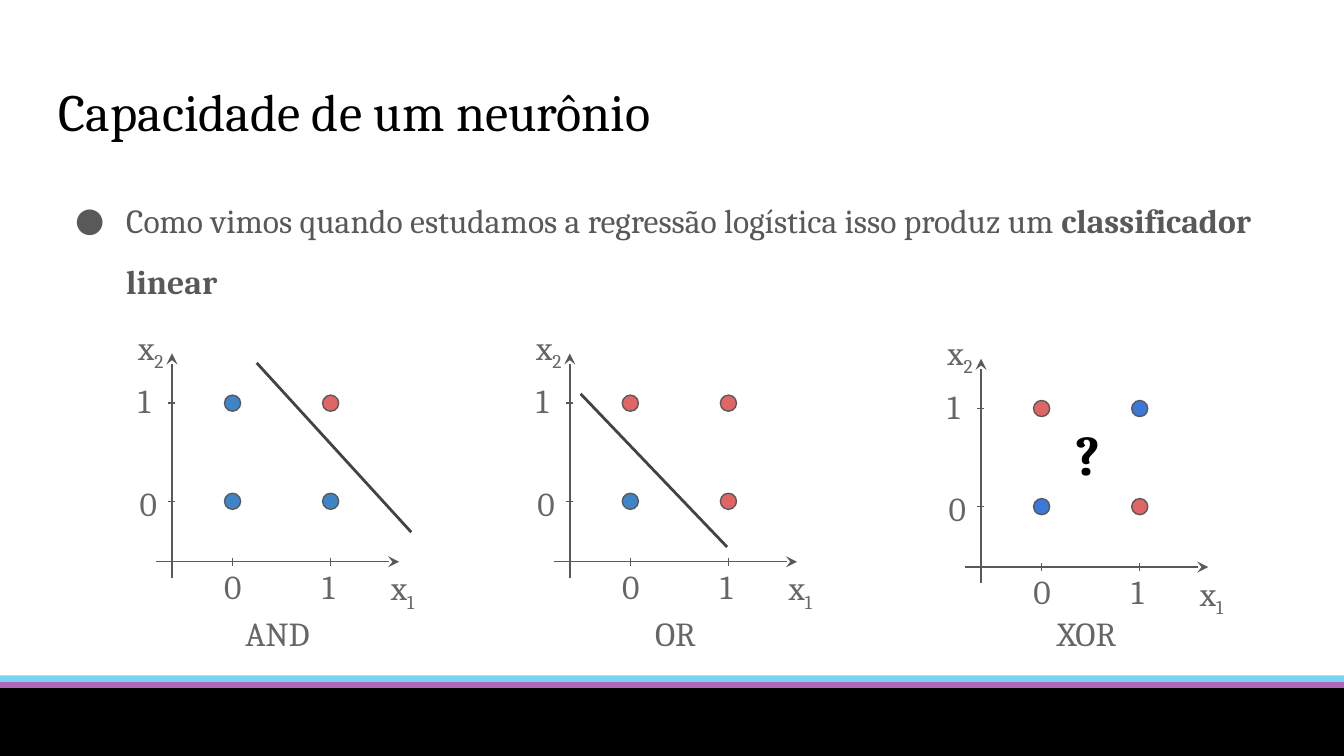
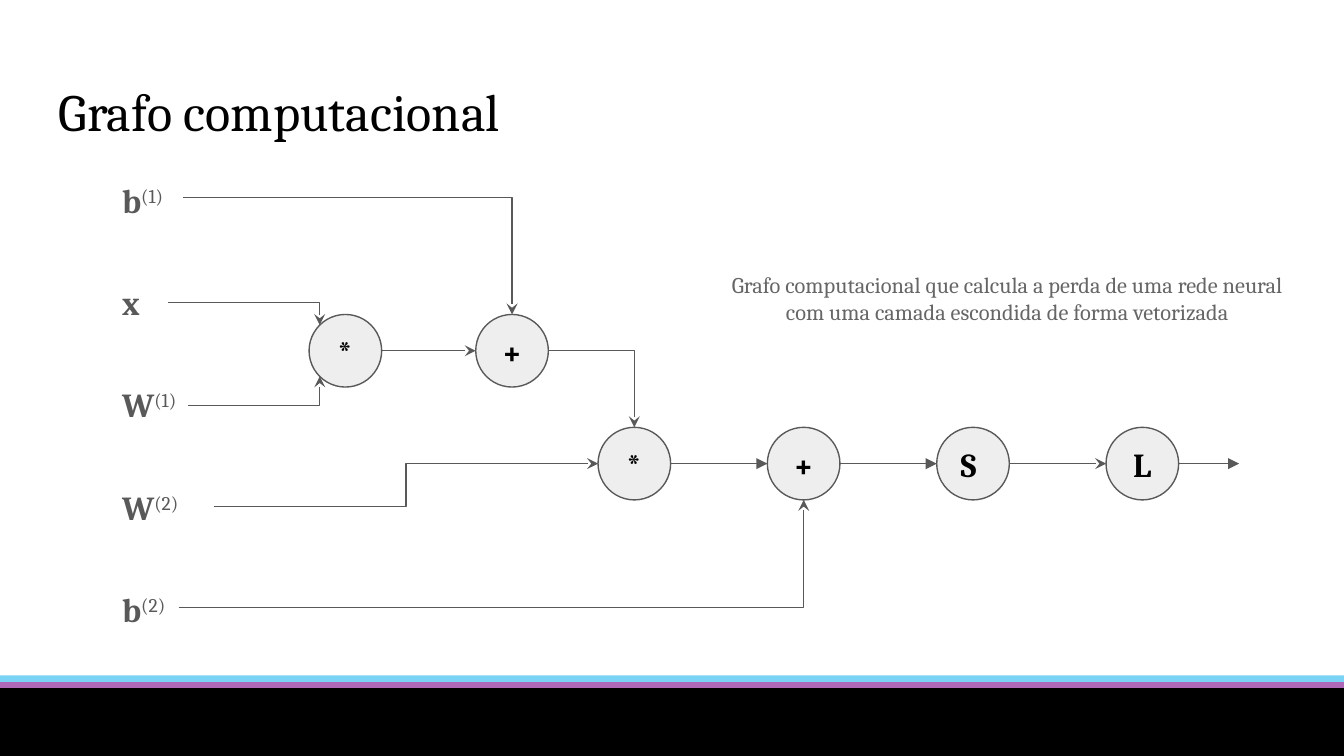
from lxml.etree import SubElement
from pptx import Presentation
from pptx.dml.color import RGBColor
from pptx.enum.shapes import MSO_CONNECTOR as CONN, MSO_SHAPE as SHAPE
from pptx.enum.text import MSO_ANCHOR as ANCHOR, PP_ALIGN as ALIGN
from pptx.oxml.ns import qn
from pptx.util import Cm, Pt

FONT = "Cambria"
BLACK, DARK, GRAY, LINE = "000000", "595959", "666666", "434343"
NODE_FILL = "EEEEEE"
BLUE, ROYAL, RED = "3D85C6", "3C78D8", "E06666"
CYAN, MAGENTA = "00A9EC", "E3007B"
WIDTH = 10
HEIGHT = WIDTH * 9 / 16
TICKS = {"0": 0.45, "1": 1.18}  # distance of each tick from the axis crossing
DOT, NODE = 0.12, 0.54
SUB, SUP = "-25000", "30000"


def inch(value):
    return Cm(value * 2.54)


def box(*lengths):
    return [inch(v) for v in lengths]


def rgb(code):
    return RGBColor.from_string(code)


def write(tf, runs, size=18, color=GRAY, align=ALIGN.LEFT):
    """Fill the first paragraph with (text, bold, baseline) runs."""
    tf.word_wrap = True
    for side in ("left", "top", "right", "bottom"):
        setattr(tf, "margin_" + side, inch(0.1))
    p = tf.paragraphs[0]
    p.alignment = align
    for text, bold, baseline in runs:
        r = p.add_run()
        r.text = text
        for name, value in {"name": FONT, "size": Pt(size), "bold": bold}.items():
            setattr(r.font, name, value)
        r.font.color.rgb = rgb(color)
        if baseline:
            r.font._element.set("baseline", baseline)
    return p


def plain(text, bold=False):
    return [(text, bold, None)]


def add_text(s, at, runs, **style):
    tf = s.shapes.add_textbox(*box(*at)).text_frame
    return write(tf, runs, **style)


def add_solid(s, kind, at, fill, line=None, alpha=None):
    sp = s.shapes.add_shape(kind, *box(*at))
    sp.shadow.inherit = False
    sp.fill.solid()
    sp.fill.fore_color.rgb = rgb(fill)
    if alpha:
        clr = sp.fill._xPr.find(".//" + qn("a:srgbClr"))
        SubElement(clr, qn("a:alpha"), val=str(alpha * 1000))
    if line:
        sp.line.color.rgb = rgb(line)
        sp.line.width = Pt(0.75)
    else:
        sp.line.fill.background()
    return sp


def add_line(s, start, end, color=DARK, width=0.75, arrow=None, kind=CONN.STRAIGHT):
    """Draw a connector, with an arrowhead of the given type at its end."""
    c = s.shapes.add_connector(kind, *box(*start, *end))
    c.line.color.rgb = rgb(color)
    c.line.width = Pt(width)
    if arrow:
        SubElement(c.line._ln, qn("a:tailEnd"), type=arrow, w="med", len="med")
    SubElement(c._element.spPr, qn("a:effectLst"))
    return c


def add_corner(s, start, end):
    """Draw an arrow that runs sideways, then turns once to its end."""
    c = add_line(s, start, end, arrow="stealth", kind=CONN.ELBOW)
    c._element.spPr.find(qn("a:prstGeom")).set("prst", "bentConnector2")


def add_bullet(p):
    p.line_spacing = 1.5
    pPr = p._p.get_or_add_pPr()
    pPr.set("marL", str(inch(0.5)))
    pPr.set("indent", str(inch(-0.38)))
    SubElement(SubElement(pPr, qn("a:buClr")), qn("a:srgbClr"), val=DARK)
    SubElement(pPr, qn("a:buFont"), typeface=FONT)
    SubElement(pPr, qn("a:buChar"), char="●")


def add_slide(prs, title):
    s = prs.slides.add_slide(prs.slide_layouts[6])
    add_solid(s, SHAPE.RECTANGLE, (0, HEIGHT - 0.6, WIDTH, 0.5), CYAN, alpha=52)
    add_solid(s, SHAPE.RECTANGLE, (0, HEIGHT - 0.55, WIDTH, 0.5), MAGENTA, alpha=50)
    add_solid(s, SHAPE.RECTANGLE, (0, HEIGHT - 0.5, WIDTH, 0.5), BLACK, BLACK)
    add_text(s, (0.34, 0.49, 9.32, 0.63), plain(title), size=28, color=BLACK)
    return s


def add_plot(s, name, x, y, colors):
    """Draw axes crossing at x, y and dots for (0,0), (1,0), (0,1), (1,1)."""
    add_line(s, (x, y + 0.12), (x, y - 1.55), arrow="stealth")
    add_line(s, (x - 0.12, y), (x + 1.69, y), arrow="stealth")
    for label, d in TICKS.items():
        add_line(s, (x - 0.03, y - d), (x + 0.02, y - d))
        add_line(s, (x + d, y - 0.03), (x + d, y + 0.03))
        add_text(s, (x + d - 0.16, y - 0.07, 0.31, 0.42), plain(label))
    add_text(s, (x - 0.34, y - 0.69, 0.28, 0.34), plain("0"))
    add_text(s, (x - 0.35, y - 1.45, 0.31, 0.42), plain("1"))
    for index, dx, dy in (("1", 1.53, -0.06), ("2", -0.35, -1.85)):
        add_text(s, (x + dx, y + dy, 0.7, 0.6),
                 [("x", False, None), (index, False, SUB)])
    spots = [(dx, dy) for dy in TICKS.values() for dx in TICKS.values()]
    for (dx, dy), color in zip(spots, colors):
        add_solid(s, SHAPE.OVAL, (x + dx - DOT / 2, y - dy - DOT / 2, DOT, DOT),
                  color, DARK)
    add_text(s, (x + 0.23, 4.46, 1.11, 0.42), plain(name), align=ALIGN.CENTER)


def add_node(s, text, x, y, align=ALIGN.CENTER):
    """Draw a round node centred on x, y."""
    half = NODE / 2
    sp = add_solid(s, SHAPE.OVAL, (x - half, y - half, NODE, NODE), NODE_FILL, DARK)
    sp.text_frame.vertical_anchor = ANCHOR.MIDDLE
    write(sp.text_frame, plain(text, True), color=BLACK, align=align)


def build_neuron(prs):
    s = add_slide(prs, "Capacidade de um neurônio")
    lead = "Como vimos quando estudamos a regressão logística isso produz um "
    p = add_text(s, (0.34, 1.24, 9.32, 0.63),
                 plain(lead) + plain("classificador linear", True), color=DARK)
    add_bullet(p)
    for name, x, y, colors in (
        ("AND", 1.28, 4.18, (BLUE, BLUE, BLUE, RED)),
        ("OR", 4.24, 4.18, (BLUE, RED, RED, RED)),
        ("XOR", 7.3, 4.22, (ROYAL, RED, RED, ROYAL)),
    ):
        add_plot(s, name, x, y, colors)
    for start, end in (((1.91, 2.7), (3.06, 3.96)), ((4.32, 2.93), (5.41, 4.07))):
        add_line(s, start, end, LINE, 1.5)
    add_text(s, (7.9, 3.02, 0.43, 0.63), plain("?", True), size=30, color=BLACK)


def build_graph(prs):
    s = add_slide(prs, "Grafo computacional")
    half = NODE / 2
    diagonal = half * 0.5 ** 0.5
    top, low = 2.61, 3.45
    mul1, add1 = 2.57, 3.81
    mul2, add2, soft, loss = [4.72 + 1.26 * i for i in range(4)]

    inputs = (("b", "(1)"), ("x", ""), ("W", "(1)"), ("W", "(2)"), ("b", "(2)"))
    for i, (name, layer) in enumerate(inputs):
        runs = plain(name, True)
        if layer:
            runs.append((layer, False, SUP))
        add_text(s, (0.81, 1.24 + 0.76 * i, 0.78, 0.5), runs, color=DARK)

    for text, x, y in (("*", mul1, top), ("+", add1, top), ("*", mul2, low),
                       ("+", add2, low), ("L", loss, low)):
        add_node(s, text, x, y)
    add_node(s, "S", soft, low, ALIGN.LEFT)

    for start, end in (
        ((1.36, 1.47), (add1, top - half)),
        ((1.25, 2.25), (mul1 - diagonal, top - diagonal)),
        ((1.4, 3.02), (mul1 - diagonal, top + diagonal)),
        ((add1 + half, top), (mul2, low - half)),
        ((1.33, 4.52), (add2, low + half)),
    ):
        add_corner(s, start, end)
    add_line(s, (1.59, 3.77), (mul2 - half, low), arrow="stealth", kind=CONN.ELBOW)

    for x1, x2, y, arrow in (
        (mul1, add1, top, "stealth"),
        (mul2, add2, low, "triangle"),
        (add2, soft, low, "triangle"),
        (soft, loss, low, "stealth"),
        (loss, 9.22 + half, low, "triangle"),
    ):
        add_line(s, (x1 + half, y), (x2 - half, y), arrow=arrow)

    caption = ("Grafo computacional que calcula a perda de uma rede neural "
               "com uma camada escondida de forma vetorizada")
    add_text(s, (5.3, 1.92, 4.39, 1.46), plain(caption), size=12, align=ALIGN.CENTER)


def main():
    prs = Presentation()
    prs.slide_width, prs.slide_height = box(WIDTH, HEIGHT)
    build_neuron(prs)
    build_graph(prs)
    prs.save("out.pptx")


if __name__ == "__main__":
    main()
